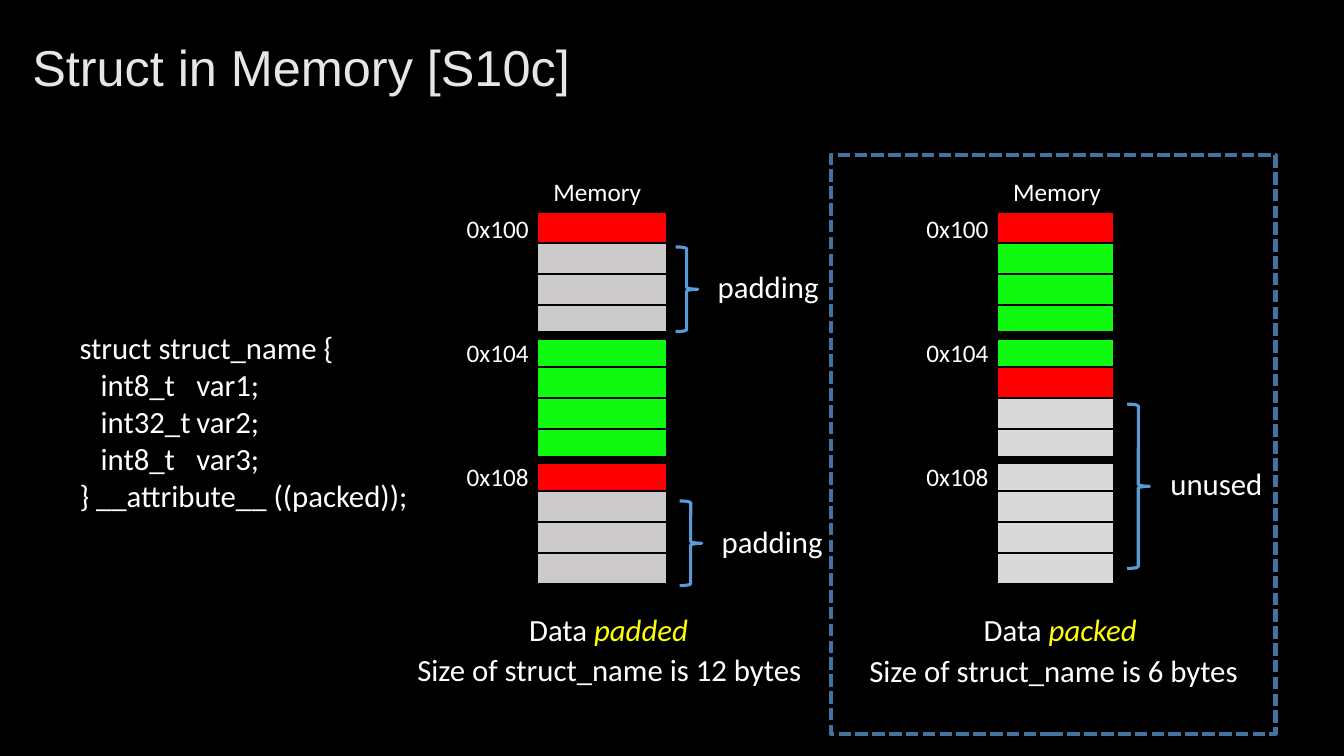
from lxml.etree import SubElement
from pptx import Presentation
from pptx.dml.color import RGBColor
from pptx.enum.dml import MSO_LINE
from pptx.enum.shapes import MSO_SHAPE as Shape
from pptx.enum.text import MSO_ANCHOR, MSO_AUTO_SIZE as AutoSize, PP_ALIGN as Align
from pptx.oxml.ns import qn
from pptx.util import Pt

PX = 9144  # 100 px to the inch
WHITE, BLACK, YELLOW = "FFFFFF", "000000", "FFFF00"
RED, GREEN, PADDING, UNUSED = "FF0000", "0FFA0F", "CCCACA", "D9D9D9"
BRACE, FRAME = "5B9BD5", "43739E"
rgb = RGBColor.from_string


def add_outline(shapes, kind, place, color, width, fill=None):
    shape = shapes.add_shape(kind, *(v * PX for v in place))
    shape.shadow.inherit = False
    if fill:
        shape.fill.solid()
        shape.fill.fore_color.rgb = rgb(fill)
    else:
        shape.fill.background()
    shape.line.color.rgb = rgb(color)
    shape.line.width = Pt(width)
    return shape


def add_text(shapes, place, lines, size=22, align=Align.LEFT, wrap=False):
    """Add a text box; an italic yellow word follows a "|" in a line."""
    box = shapes.add_textbox(*(v * PX for v in place))
    frame = box.text_frame
    frame.word_wrap = wrap
    frame.auto_size = AutoSize.SHAPE_TO_FIT_TEXT
    for i, line in enumerate(lines):
        para = frame.add_paragraph() if i else frame.paragraphs[0]
        para.alignment = align
        for part, text in enumerate(line.split("|")):
            span = para.add_run()
            span.text = text
            look = {"name": "Calibri", "size": Pt(size), "italic": part == 1}
            for key, value in look.items():
                setattr(span.font, key, value)
            span.font.color.rgb = rgb(YELLOW if part else WHITE)
    return box


deck = Presentation()
deck.slide_width, deck.slide_height = 1333 * PX, 750 * PX
page = deck.slides.add_slide(deck.slide_layouts[5])
page.background.fill.solid()
page.background.fill.fore_color.rgb = rgb(BLACK)

title = page.shapes.title
for key, value in {"left": 22, "top": 21, "width": 1289, "height": 97}.items():
    setattr(title, key, value * PX)
title.text_frame.text = "Struct in Memory [S10c]"
title.text_frame.vertical_anchor = MSO_ANCHOR.MIDDLE
para = title.text_frame.paragraphs[0]
para.alignment, para.line_spacing = Align.LEFT, 0.9
font = para.runs[0].font
font.name, font.size, font.color.rgb = "Arial", Pt(36), rgb("E7E6E6")

# Struct definition, its members set on two tab stops
code = add_text(page.shapes, (69, 321, 352, 195), [
    "struct struct_name {",
    "\tint8_t\tvar1;",
    "\tint32_t\tvar2;",
    "\tint8_t\tvar3;",
    "} __attribute__ ((packed));",
], wrap=True)
for para in code.text_frame.paragraphs[1:4]:
    stops = SubElement(para._p.get_or_add_pPr(), qn("a:tabLst"))
    for position in (21, 116):
        SubElement(stops, qn("a:tab"), pos=str(position * PX), algn="l")

frame = add_outline(page.shapes, Shape.RECTANGLE, (824, 154, 441, 574), FRAME, 3)
frame.line.dash_style = MSO_LINE.SQUARE_DOT

# Memory columns: left, cell width, label left, label width, byte colours
padded = [RED] + [PADDING] * 3 + [GREEN] * 4 + [RED] + [PADDING] * 3
packed = [RED] + [GREEN] * 4 + [RED] + [UNUSED] * 6
for left, width, label_left, label_width, colors in (
    (533, 129, 453, 91, padded),
    (989, 116, 909, 82, packed),
):
    memory = page.shapes.add_group_shape().shapes
    for i, color in enumerate(colors):
        word, byte = divmod(i, 4)
        place = (left, 210 + word * 123 + byte * 31, width, 31)
        add_outline(memory, Shape.RECTANGLE, place, BLACK, 1.5, color)
    add_text(memory, (left + 6, 170, width - 8, 40), ["Memory"], 18)
    for word, address in enumerate(("0x100", "0x104", "0x108")):
        top = 208 + word * 123
        add_outline(memory, Shape.RECTANGLE, (left - 1, top, width + 4, 127), BLACK, 3)
        add_text(memory, (label_left, top - 1, label_width, 40), [address], 18)

for place, line, wrap in (
    ((398, 641, 413, 47), "Size of struct_name is 12 bytes", True),
    ((514, 601, 179, 47), "Data |padded", False),
    ((848, 642, 394, 47), "Size of struct_name is 6 bytes", True),
    ((951, 601, 201, 47), "Data |packed", True),
):
    add_text(page.shapes, place, [line], align=Align.CENTER, wrap=wrap)

for brace, label, text in (
    ((670, 245, 22, 84), (702, 261, 121, 47), "padding"),
    ((674, 497, 22, 84), (706, 514, 121, 47), "padding"),
    ((1118, 401, 22, 163), (1151, 456, 112, 47), "unused"),
):
    add_outline(page.shapes, Shape.RIGHT_BRACE, brace, BRACE, 2.25)
    add_text(page.shapes, label, [text])

deck.save("out.pptx")
